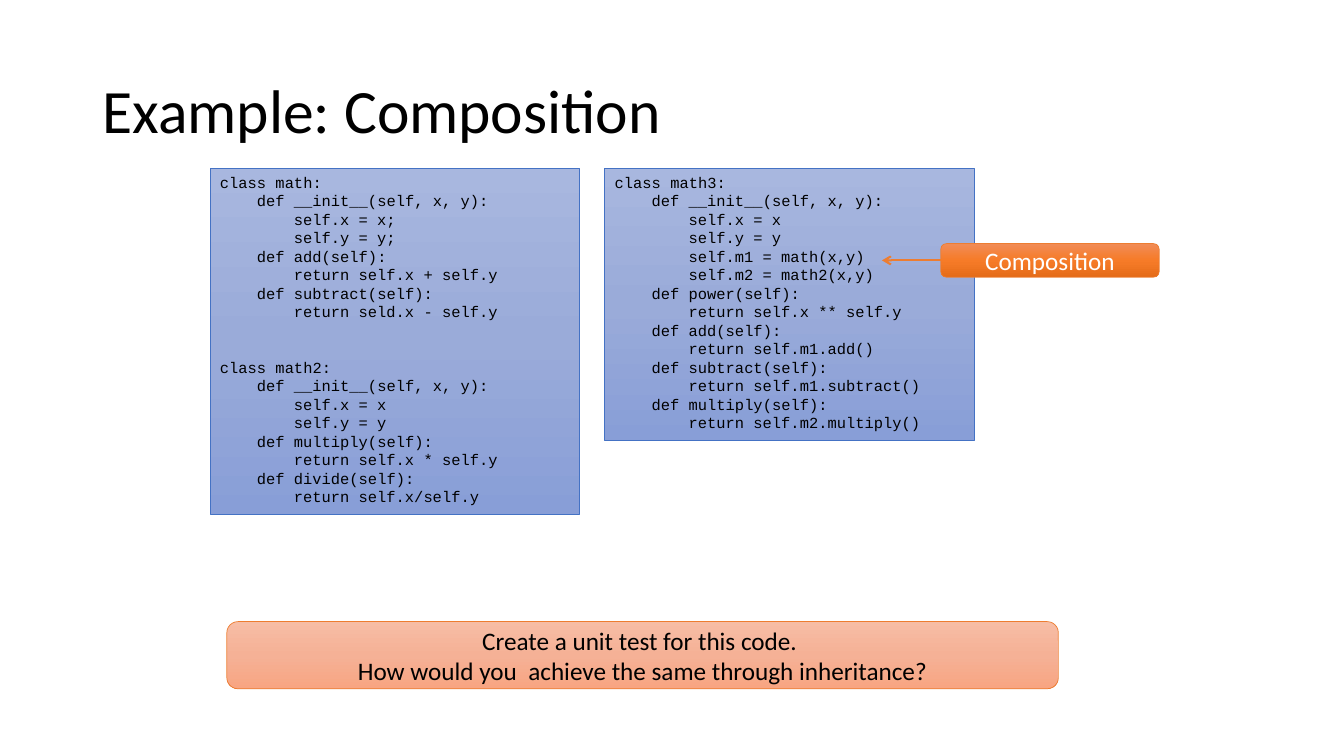
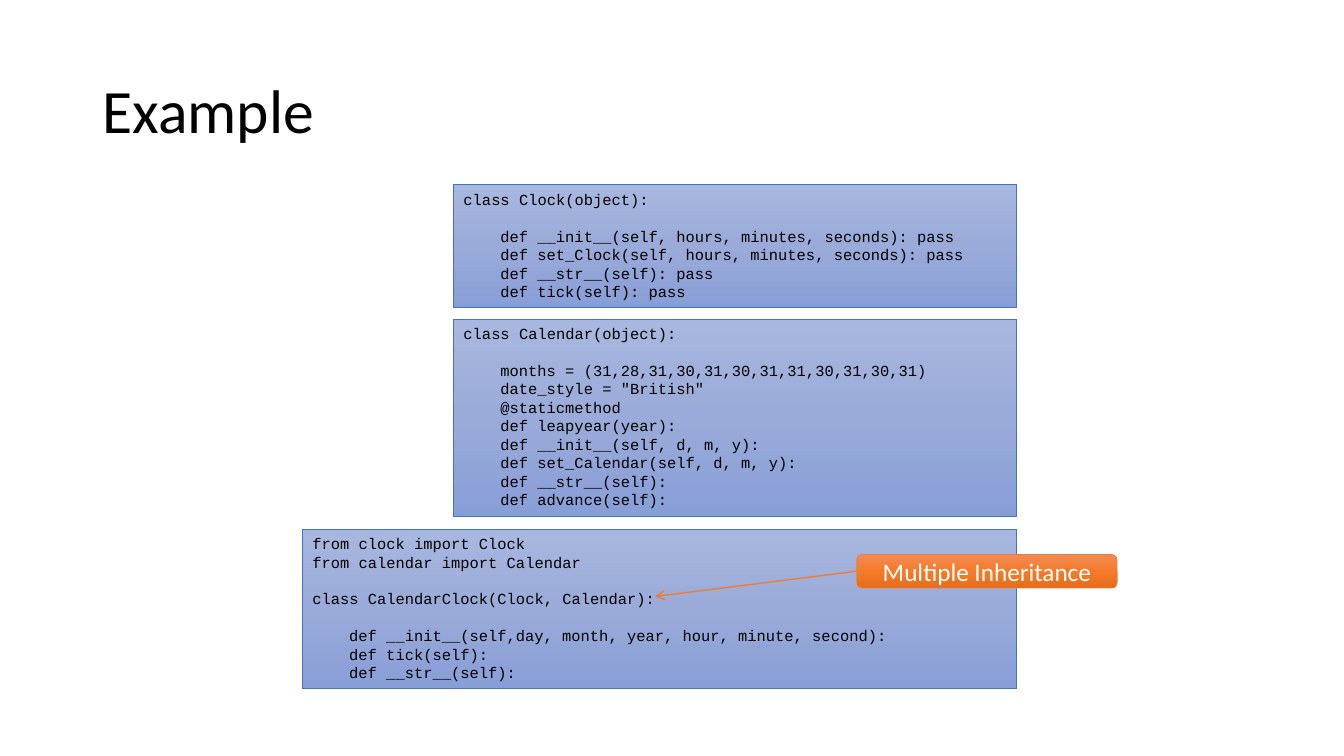
from copy import deepcopy
from typing import Any, NamedTuple

from pptx import Presentation
from pptx import util as u
from pptx.dml.color import RGBColor
from pptx.enum import shapes, text
from pptx.oxml import parse_xml
from pptx.oxml.ns import nsdecls

PX = 9525
PITCH = 13.2
STEP = 26.4
BLACK, WHITE = "000000", "FFFFFF"
BLUE, ORANGE = "4472C4", "ED7D31"

BASIC = '''
class math:
    def __init__(self, x, y):
        self.x = x;
        self.y = y;
    def add(self):
        return self.x + self.y
    def subtract(self):
        return seld.x - self.y


class math2:
    def __init__(self, x, y):
        self.x = x
        self.y = y
    def multiply(self):
        return self.x * self.y
    def divide(self):
        return self.x/self.y
'''

MERGED = '''
class math3:
    def __init__(self, x, y):
        self.x = x
        self.y = y
        self.m1 = math(x,y)
        self.m2 = math2(x,y)
    def power(self):
        return self.x ** self.y
    def add(self):
        return self.m1.add()
    def subtract(self):
        return self.m1.subtract()
    def multiply(self):
        return self.m2.multiply()
'''

CLOCK = '''
class Clock(object):

    def __init__(self, hours, minutes, seconds): pass
    def set_Clock(self, hours, minutes, seconds): pass
    def __str__(self): pass
    def tick(self): pass
'''

DATES = '''
class Calendar(object):

    months = (31,28,31,30,31,30,31,31,30,31,30,31)
    date_style = "British"
    @staticmethod
    def leapyear(year):
    def __init__(self, d, m, y):
    def set_Calendar(self, d, m, y):
    def __str__(self):
    def advance(self):
'''

BOTH = '''
from clock import Clock
from calendar import Calendar

class CalendarClock(Clock, Calendar):

    def __init__(self,day, month, year, hour, minute, second):
    def tick(self):
    def __str__(self):
'''


class Box(NamedTuple):
    left: int
    top: int
    width: int
    height: int


class Look(NamedTuple):
    kind: Any
    stops: tuple[str, str, str]
    line: str
    ink: str


class Block(NamedTuple):
    box: Box
    look: Look
    words: str


class Arrow(NamedTuple):
    start: tuple[int, int]
    end: tuple[int, int]
    weight: float


class Page(NamedTuple):
    title: str
    blocks: list[Block]
    arrow: Arrow


RECT = shapes.MSO_SHAPE.RECTANGLE
ROUND = shapes.MSO_SHAPE.ROUNDED_RECTANGLE
CODE = Look(RECT, ("A8B7DF", "9AABD9", "889ED7"), BLUE, BLACK)
TAG = Look(ROUND, ("F18C57", "F67B28", "E56C19"), ORANGE, WHITE)
TASK = Look(ROUND, ("F7BDA5", "F5B196", "F8A582"), ORANGE, BLACK)

TITLE = Box(88, 39, 1104, 139)
FRAME = {"word_wrap": True, "auto_size": text.MSO_AUTO_SIZE.NONE}
MID = FRAME | {"vertical_anchor": text.MSO_ANCHOR.MIDDLE}
TOP = FRAME | {"vertical_anchor": text.MSO_ANCHOR.TOP}
LEFT = {"alignment": text.PP_ALIGN.LEFT}
CENTRE = {"alignment": text.PP_ALIGN.CENTER}

PAGES = [
    Page("Example: Composition", [
        Block(Box(200, 160, 352, 330), CODE, BASIC),
        Block(Box(576, 160, 352, 259), CODE, MERGED),
        Block(Box(896, 232, 208, 32), TAG, "Composition"),
        Block(Box(216, 592, 792, 64), TASK,
              "Create a unit test for this code. \n"
              "How would you  achieve the same through inheritance?"),
    ], Arrow((896, 248), (840, 248), 1.5)),
    Page("Example", [
        Block(Box(432, 176, 536, 117), CODE, CLOCK),
        Block(Box(432, 304, 536, 188), CODE, DATES),
        Block(Box(288, 504, 680, 152), CODE, BOTH),
        Block(Box(816, 528, 248, 32), TAG, "Multiple Inheritance"),
    ], Arrow((816, 544), (624, 568), 1)),
]


def tint(code: str) -> RGBColor:
    return RGBColor.from_string(code)


def apply(item: Any, style: dict[str, Any]) -> None:
    for name, value in style.items():
        setattr(item, name, value)


def ink(para: Any, face: str, size: int, code: str) -> None:
    apply(para.font, {"name": face, "size": u.Pt(size)})
    para.font.color.rgb = tint(code)


def shade(shape: Any, look: Look) -> None:
    shape.shadow.inherit = False
    shape.fill.gradient()
    first = shape.element.spPr.xpath(".//a:gs")[0]
    first.addnext(deepcopy(first))
    shape.fill.gradient_angle = 270
    for i, (stop, code) in enumerate(zip(shape.fill.gradient_stops, look.stops)):
        stop.position = i / 2
        stop.color.rgb = tint(code)
    shape.line.color.rgb = tint(look.line)
    shape.line.width = u.Pt(0.5)


def write(frame: Any, words: str, code: str) -> None:
    apply(frame, MID)
    for i, line in enumerate(words.split("\n")):
        para = frame.add_paragraph() if i else frame.paragraphs[0]
        para.text = line
        apply(para, CENTRE)
        ink(para, "Calibri", 18, code)


def listing(frame: Any, source: str, code: str) -> None:
    apply(frame, TOP)
    para, gap = None, 0
    for line in source.strip().split("\n"):
        if not line:
            gap += 1
            continue
        para = frame.add_paragraph() if para else frame.paragraphs[0]
        para.text = line.lstrip()
        depth = (len(line) - len(para.text)) // 4
        apply(para, LEFT | {"line_spacing": u.Pt(PITCH),
                            "space_before": u.Pt(gap * PITCH)})
        props = para._p.get_or_add_pPr()
        props.set("marL", str(int(u.Pt(depth * STEP))))
        props.set("indent", "0")
        ink(para, "Courier New", 11, code)
        gap = 0


def draw(slide: Any, block: Block) -> None:
    look = block.look
    shape = slide.shapes.add_shape(look.kind, *(n * PX for n in block.box))
    shade(shape, look)
    fill = listing if look is CODE else write
    fill(shape.text_frame, block.words, look.ink)


def point(slide: Any, arrow: Arrow) -> None:
    ends = (n * PX for n in arrow.start + arrow.end)
    line = slide.shapes.add_connector(shapes.MSO_CONNECTOR.STRAIGHT, *ends)
    line.line.color.rgb = tint(ORANGE)
    line.line.width = u.Pt(arrow.weight)
    line.line._get_or_add_ln().append(
        parse_xml(f'<a:tailEnd {nsdecls("a")} type="arrow"/>'))
    line._element.spPr.append(parse_xml(f'<a:effectLst {nsdecls("a")}/>'))


def head(shape: Any, words: str) -> None:
    apply(shape, {name: n * PX for name, n in TITLE._asdict().items()})
    apply(shape.text_frame, MID)
    para = shape.text_frame.paragraphs[0]
    para.text = words
    apply(para, LEFT | {"line_spacing": 0.9})
    ink(para, "Calibri", 44, BLACK)


def main() -> None:
    deck = Presentation()
    apply(deck, {"slide_width": 1280 * PX, "slide_height": 720 * PX})
    for page in PAGES:
        slide = deck.slides.add_slide(deck.slide_layouts[5])
        head(slide.shapes.title, page.title)
        for block in page.blocks:
            draw(slide, block)
        point(slide, page.arrow)
    deck.save("out.pptx")


if __name__ == "__main__":
    main()
